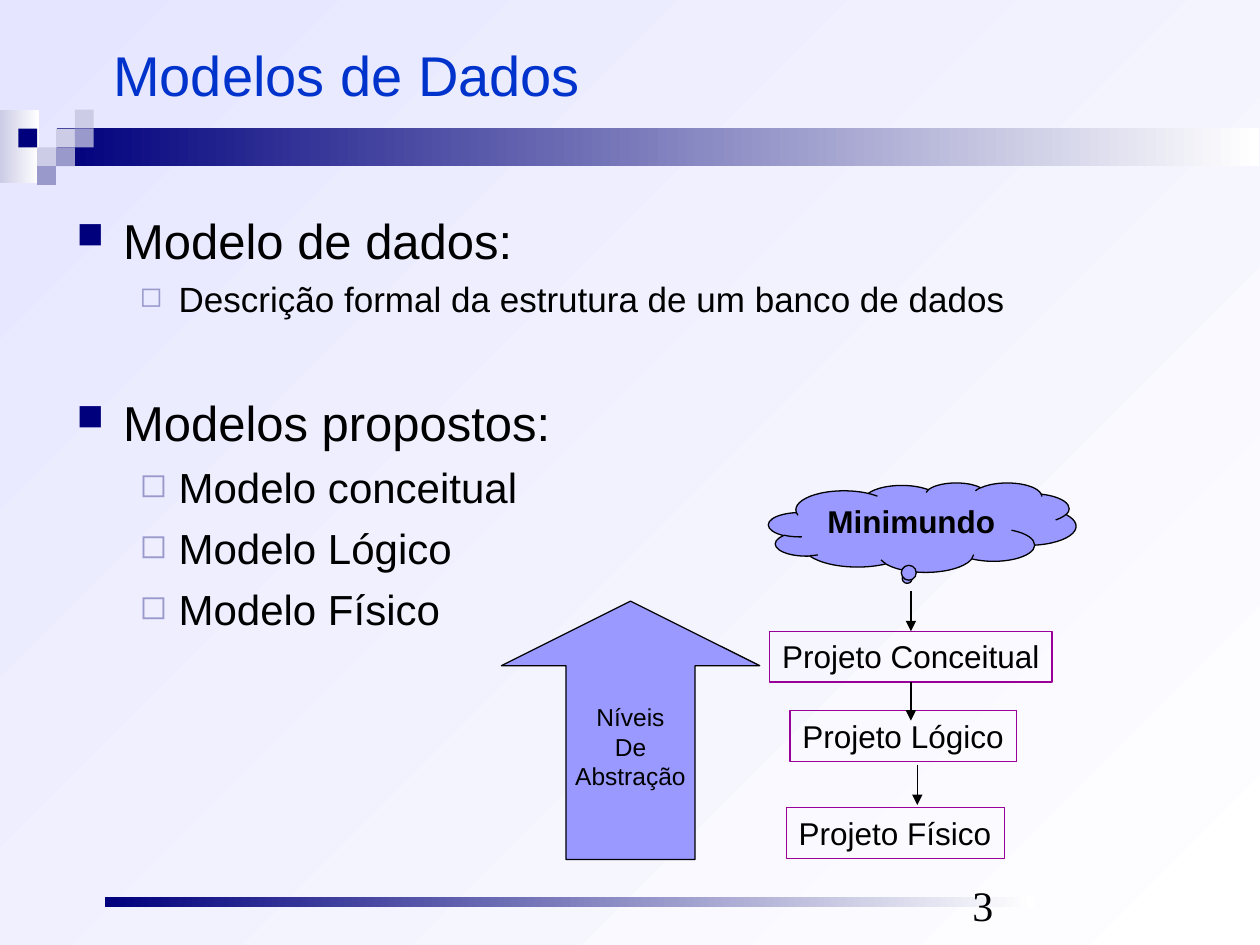
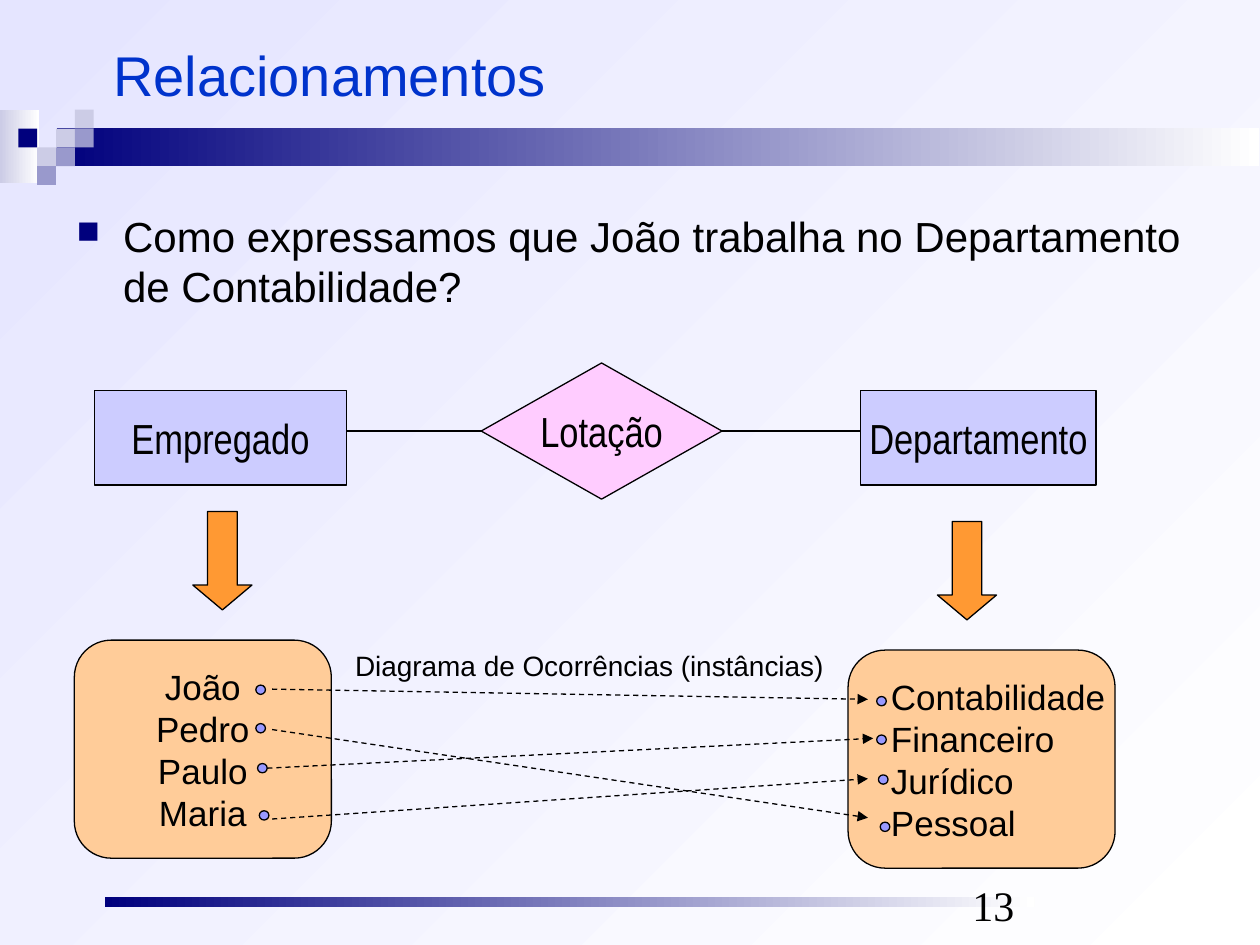
from dataclasses import dataclass

from lxml import etree
from pptx import Presentation
from pptx.dml.color import RGBColor
from pptx.enum.dml import MSO_LINE
from pptx.enum.shapes import MSO_CONNECTOR, MSO_SHAPE
from pptx.enum.text import MSO_ANCHOR, PP_ALIGN
from pptx.oxml.ns import qn
from pptx.util import Pt

RECT, ROUND = MSO_SHAPE.RECTANGLE, MSO_SHAPE.ROUNDED_RECTANGLE
UP, DOWN = MSO_SHAPE.UP_ARROW, MSO_SHAPE.DOWN_ARROW
CLOUD, OVAL = MSO_SHAPE.CLOUD_CALLOUT, MSO_SHAPE.OVAL
DIAMOND = MSO_SHAPE.FLOWCHART_DECISION
STRAIGHT, DASH = MSO_CONNECTOR.STRAIGHT, MSO_LINE.DASH
TOP, MID, LOW = MSO_ANCHOR.TOP, MSO_ANCHOR.MIDDLE, MSO_ANCHOR.BOTTOM
LEFT, CENTER = PP_ALIGN.LEFT, PP_ALIGN.CENTER
TOP_SIDE, LEFT_SIDE, LOW_SIDE, RIGHT_SIDE = range(4)


@dataclass(frozen=True)
class Theme:
    black: str = "000000"
    white: str = "FFFFFF"
    title: str = "0033CC"
    navy: str = "00007D"
    slate: str = "9999CC"
    mist: str = "CCCCE6"
    sky: str = "E5E5FF"
    violet: str = "9999FF"
    purple: str = "990099"
    lilac: str = "CCCCFF"
    pink: str = "FFCCFF"
    peach: str = "FFCC99"
    orange: str = "FF9933"
    sans: str = "Arial"
    narrow: str = "Arial Narrow"
    serif: str = "Times New Roman"
    head: int = 32
    large: int = 28
    lead: int = 24
    body: int = 20
    label: int = 18
    note: int = 16
    small: int = 14
    stroke: float = 0.75


T = Theme()


def rgb(code):
    return RGBColor.from_string(code)


def blend(fill, start, end, angle=0):
    fill.gradient()
    fill.gradient_angle = angle
    for stop, code in zip(fill.gradient_stops, (start, end)):
        stop.color.rgb = rgb(code)


def add_run(para, words, size, face=T.sans, color=T.black, bold=False):
    run = para.add_run()
    run.text = words
    font = run.font
    font.size, font.name, font.bold = Pt(size), face, bold
    font.color.rgb = rgb(color)


def next_para(frame, index):
    return frame.add_paragraph() if index else frame.paragraphs[0]


def write(frame, words, size, face=T.sans, color=T.black, bold=False,
          align=CENTER, anchor=MID, wrap=False):
    frame.word_wrap = wrap
    frame.vertical_anchor = anchor
    for index, line in enumerate(words.split("\n")):
        para = next_para(frame, index)
        para.alignment = align
        add_run(para, line, size, face, color, bold)


def add_shape(slide, kind, box, fill=None, line=T.black, adjust=()):
    shape = slide.shapes.add_shape(kind, *map(Pt, box))
    shape.shadow.inherit = False
    if fill:
        shape.fill.solid()
        shape.fill.fore_color.rgb = rgb(fill)
    else:
        shape.fill.background()
    if line:
        shape.line.color.rgb = rgb(line)
        shape.line.width = Pt(T.stroke)
    else:
        shape.line.fill.background()
    for index, value in enumerate(adjust):
        shape.adjustments[index] = value
    return shape


def add_text(slide, box, words, size, **style):
    frame = slide.shapes.add_textbox(*map(Pt, box)).text_frame
    write(frame, words, size, align=LEFT, **style)


def add_line(slide, start, end, arrow=True, dash=None):
    line = slide.shapes.add_connector(STRAIGHT, *map(Pt, start + end))
    line.line.color.rgb = rgb(T.black)
    line.line.width = Pt(T.stroke)
    if dash:
        line.line.dash_style = dash
    props = line._element.spPr
    if arrow:
        etree.SubElement(props.find(qn("a:ln")), qn("a:tailEnd"), type="triangle")
    etree.SubElement(props, qn("a:effectLst"))
    return line


def mark(para, level):
    """Give a paragraph the square bullet of its level."""
    margin, hang, color, scale, sign = (
        (26.6, 26.6, T.navy, 75, "■"),
        (58.3, 22.3, T.slate, 80, "◻"),
    )[level]
    props = para._p.get_or_add_pPr()
    props.set("marL", str(Pt(margin)))
    props.set("indent", str(-Pt(hang)))
    tint = etree.SubElement(props, qn("a:buClr"))
    etree.SubElement(tint, qn("a:srgbClr"), val=color)
    etree.SubElement(props, qn("a:buSzPct"), val=str(scale * 1000))
    etree.SubElement(props, qn("a:buChar"), char=sign)
    para.level = level


def add_list(slide, items):
    """Each item is (level, space before, size, words)."""
    box = slide.shapes.add_textbox(Pt(36.7), Pt(116.7), Pt(648), Pt(363))
    frame = box.text_frame
    frame.word_wrap = True
    for index, (level, gap, size, words) in enumerate(items):
        para = next_para(frame, index)
        mark(para, level)
        para.space_before = Pt(gap)
        add_run(para, words, size)


def add_bar(slide, box, start):
    blend(add_shape(slide, RECT, box, line=None).fill, start, T.white)


def add_frame(deck, title, box, number):
    """Add a slide with the shared background, bands, title and number."""
    slide = deck.slides.add_slide(deck.slide_layouts[6])
    blend(slide.background.fill, T.sky, T.white, 315)
    add_bar(slide, (0, 62.7, 22.3, 41.8), T.mist)
    add_bar(slide, (32.4, 73.4, 687, 21.4), T.navy)
    step = 10.75
    tiles = {T.navy: [(0, 1)],
             T.mist: [(2, 1), (3, 0), (1, 2)],
             T.slate: [(3, 1), (2, 2), (1, 3)]}
    for color, cells in tiles.items():
        for col, row in cells:
            place = (10.5 + col * step, 62.7 + row * step, step, step)
            add_shape(slide, RECT, place, color, None)
    add_bar(slide, (59.8, 512.6, 531.4, 5.8), T.navy)
    add_text(slide, box, title, T.head, color=T.title, wrap=True)
    add_text(slide, (548.6, 499, 167.8, 36), number, T.lead,
             face=T.serif, anchor=LOW, wrap=True)
    return slide


def build_models(deck):
    slide = add_frame(deck, "Modelos de Dados", (57.6, 9.4, 648, 65.5), "3")
    add_list(slide, [
        (0, 0, T.large, "Modelo de dados:"),
        (1, 5, T.body, "Descrição formal da estrutura de um banco de dados"),
        (0, 41.5, T.large, "Modelos propostos:"),
        (1, 6, T.lead, "Modelo conceitual"),
        (1, 6, T.lead, "Modelo Lógico"),
        (1, 6, T.lead, "Modelo Físico"),
    ])
    stages = []
    for left, top, width, words in (
            (439.9, 360.7, 161.3, "Projeto Conceitual"),
            (451.4, 406, 129.6, "Projeto Lógico"),
            (449.3, 461.5, 124.6, "Projeto Físico")):
        stage = add_shape(slide, RECT, (left, top, width, 29), line=T.purple)
        write(stage.text_frame, words, T.label, align=LEFT, anchor=TOP)
        stages.append(stage)
    levels = add_shape(slide, UP, (286.5, 343.5, 147.6, 147.6), T.violet,
                       adjust=(0.5, 0.25))
    write(levels.text_frame, "Níveis\nDe\nAbstração", T.small)
    world = add_shape(slide, CLOUD, (439.2, 275.8, 175.7, 51.1), T.violet,
                      adjust=(-0.05, 0.58))
    write(world.text_frame, "Minimundo", T.label, bold=True, anchor=TOP, wrap=True)

    axis = 520.55
    add_line(slide, (axis, 337.7), (axis, 360.7)).end_connect(stages[0], TOP_SIDE)
    add_line(slide, (axis, 389.7), (axis, 411.8)).begin_connect(stages[0], LOW_SIDE)
    add_line(slide, (524.2, 437), (524.2, 460))


def build_links(deck):
    slide = add_frame(deck, "Relacionamentos", (57.6, 15.8, 648, 52.6), "13")
    add_list(slide, [(0, 0, T.lead, "Como expressamos que João trabalha no "
                                    "Departamento de Contabilidade?")])
    nodes = (
        (RECT, (54, 223.2, 144, 54), T.lilac, "Empregado"),
        (RECT, (491.8, 223.2, 134.6, 54), T.lilac, "Departamento"),
        (DIAMOND, (275, 207.4, 137.6, 77.8), T.pink, "Lotação"),
    )
    for kind, box, fill, words in nodes:
        node = add_shape(slide, kind, box, fill)
        write(node.text_frame, words, T.lead, face=T.narrow)
    level = 246.3
    for edge, tip, side in ((198, 275, LEFT_SIDE), (491.8, 412.6, RIGHT_SIDE)):
        line = add_line(slide, (edge, level), (tip, level), arrow=False)
        line.end_connect(node, side)

    staff = add_shape(slide, ROUND, (42.5, 365.8, 146.9, 124.6), T.peach,
                      adjust=(0.17,))
    write(staff.text_frame, "João\nPedro\nPaulo\nMaria", T.body)
    units = add_shape(slide, ROUND, (484.6, 371.5, 152.6, 124.6), T.peach,
                      adjust=(0.17,))
    units.text_frame.margin_left = Pt(18.3)
    units.text_frame.margin_right = 0
    write(units.text_frame, "Contabilidade\nFinanceiro\nJurídico\nPessoal",
          T.body, align=LEFT)
    for left, top in ((110.2, 292.3), (535.7, 298)):
        add_shape(slide, DOWN, (left, top, 33.8, 56.2), T.orange, adjust=(0.5, 0.42))

    for start, end in (((155.5, 393.8), (496, 399.6)),
                       ((155.5, 416.9), (496, 467.3)),
                       ((147.6, 439.2), (499, 421.9)),
                       ((155.5, 468), (496, 445))):
        add_line(slide, start, end, dash=DASH)
    drops = ((0, 0), (0, 22), (1, 44.8), (2, 71.8))
    for left, top in ((146.2, 391.5), (501, 398)):
        for shift, drop in drops:
            add_shape(slide, OVAL, (left + shift, top + drop, 5.5, 5.3), T.violet)
    add_text(slide, (195.8, 367.2, 282.2, 26.6),
             "Diagrama de Ocorrências (instâncias)", T.note, anchor=TOP)


def main():
    deck = Presentation()
    deck.slide_width, deck.slide_height = Pt(720), Pt(540)
    build_models(deck)
    build_links(deck)
    deck.save("out.pptx")


if __name__ == "__main__":
    main()
